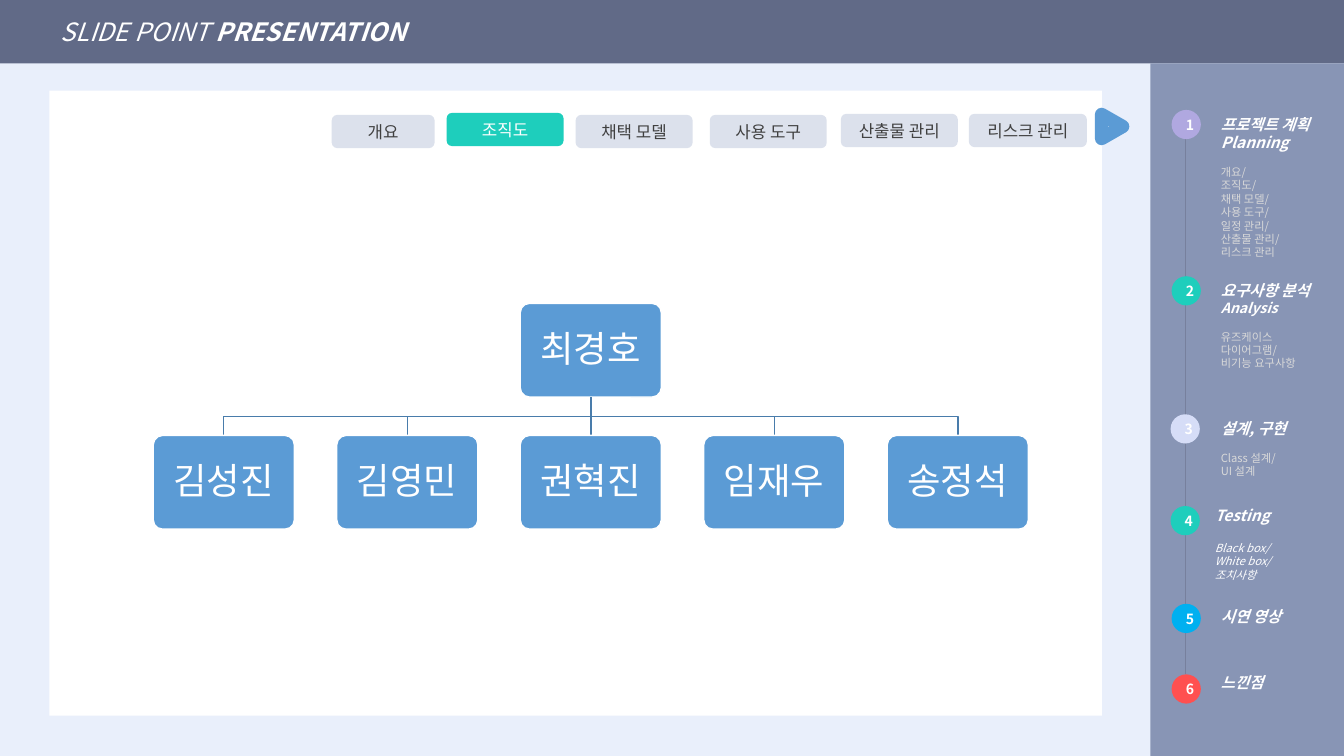
"""Build a project organisation slide with a tab row and a step sidebar."""
from dataclasses import dataclass

from lxml import etree
from pptx import Presentation
from pptx.dml.color import RGBColor
from pptx.enum.shapes import MSO_CONNECTOR, MSO_SHAPE
from pptx.enum.text import MSO_ANCHOR, MSO_AUTO_SIZE, PP_ALIGN
from pptx.oxml.ns import qn
from pptx.util import Inches, Pt

RECT = MSO_SHAPE.RECTANGLE
ROUNDED = MSO_SHAPE.ROUNDED_RECTANGLE
OVAL = MSO_SHAPE.OVAL
TRIANGLE = MSO_SHAPE.ISOSCELES_TRIANGLE
STRAIGHT = MSO_CONNECTOR.STRAIGHT
MIDDLE = MSO_ANCHOR.MIDDLE
NO_AUTOFIT = MSO_AUTO_SIZE.NONE
GROW = MSO_AUTO_SIZE.SHAPE_TO_FIT_TEXT
LEFT, CENTER = PP_ALIGN.LEFT, PP_ALIGN.CENTER


@dataclass(frozen=True)
class Theme:
    font: str = "Noto Sans CJK KR"
    page: str = "E9EFFB"
    header: str = "616A87"
    sidebar: str = "8895B5"
    rail: str = "77809D"
    white: str = "FFFFFF"
    tab: str = "DCE1EC"
    tab_text: str = "404040"
    teal: str = "1ECEBC"
    lilac: str = "B0A8E0"
    pale: str = "D6DDF7"
    sky: str = "00B0F0"
    red: str = "FF5050"
    member: str = "5B9BD5"
    branch: str = "497CAB"
    detail: str = "D9D9D9"
    title_size: float = 18
    tab_size: float = 12
    member_size: float = 26
    step_size: float = 11
    small_step_size: float = 10
    detail_size: float = 8


THEME = Theme()

TABS = [
    ("개요", 3.29, 1.14, 1.02),
    ("조직도", 4.43, 1.12, 1.16),
    ("채택 모델", 5.71, 1.14, 1.16),
    ("사용 도구", 7.04, 1.14, 1.16),
    ("산출물 관리", 8.34, 1.13, 1.16),
    ("리스크 관리", 9.61, 1.13, 1.17),
]
CURRENT_TAB = "조직도"

LEADER = "최경호"
MEMBERS = ["김성진", "김영민", "권혁진", "임재우", "송정석"]
MEMBER_LEFT, MEMBER_PITCH = 1.52, 1.82
MEMBER_WIDTH, MEMBER_HEIGHT = 1.4, 0.93
LEADER_TOP, MEMBER_TOP = 3.01, 4.32

HEADING = {"size": THEME.step_size, "color": THEME.white, "bold": True, "italic": True}
SUBHEADING = {**HEADING, "size": THEME.small_step_size}
DETAIL = {"size": THEME.detail_size, "color": THEME.detail, "bold": False, "italic": False}
SLANTED = {**DETAIL, "color": THEME.white, "italic": True}
NUMBER = {"size": THEME.small_step_size, "color": THEME.white, "bold": True}

STEPS = [
    ((11.62, 1.09), THEME.lilac, (12.01, 1.09, 1.33, 1.68),
     [[("프로젝트 계획", HEADING)], [("Planning", HEADING)]],
     ["개요/", "조직도/", "채택 모델/", "사용 도구/", "일정 관리/", "산출물 관리/", "리스크 관리"],
     DETAIL, 9.6),
    ((11.62, 2.74), THEME.teal, (12.01, 2.74, 1.22, 0.99),
     [[("요구사항 분석\v", HEADING), ("Analysis", SUBHEADING)]],
     ["유즈케이스", "다이어그램/", "비기능 요구사항"], DETAIL, 9.6),
    ((11.61, 4.11), THEME.pale, (12.01, 4.11, 1.33, 0.69),
     [[("설계, 구현", HEADING)]], ["Class 설계/", "UI 설계"], DETAIL, 9.6),
    ((11.61, 5.02), THEME.teal, (11.95, 4.97, 1.22, 0.86),
     [[("Testing", HEADING)]], ["Black box/", "White box/", "조치사항"], SLANTED, 12),
    ((11.62, 5.99), THEME.sky, (12.01, 5.97, 1.22, 0.29),
     [[("시연 영상", HEADING)]], [], DETAIL, 0),
    ((11.62, 6.69), THEME.red, (12.01, 6.63, 1.22, 0.29),
     [[("느낀점", HEADING)]], [], DETAIL, 0),
]


def rgb(color):
    return RGBColor.from_string(color)


def style_run(run, size, color, **emphasis):
    font = run.font
    font.color.rgb = rgb(color)
    for name, value in {"name": THEME.font, "size": Pt(size), **emphasis}.items():
        setattr(font, name, value)
    latin = font._element.find(qn("a:latin"))
    east_asian = etree.Element(qn("a:ea"), typeface=THEME.font)
    latin.addnext(east_asian)


def write_runs(paragraph, pieces, align=LEFT):
    paragraph.alignment = align
    for text, style in pieces:
        run = paragraph.add_run()
        run.text = text.rstrip("\v")
        style_run(run, **style)
        if text.endswith("\v"):
            paragraph.add_line_break()


def add_block(slide, kind, box, fill, label=None, style=None):
    block = slide.shapes.add_shape(kind, *map(Inches, box))
    block.shadow.inherit = False
    block.fill.solid()
    block.fill.fore_color.rgb = rgb(fill)
    block.line.fill.background()
    if label:
        block.text_frame.vertical_anchor = MIDDLE
        write_runs(block.text_frame.paragraphs[0], [(label, style)], CENTER)
    return block


def set_outline(line, color, width):
    line.color.rgb = rgb(color)
    line.width = Pt(width)


def add_line(slide, start, end, color):
    line = slide.shapes.add_connector(STRAIGHT, *map(Inches, (*start, *end)))
    set_outline(line.line, color, 1)
    etree.SubElement(line._element.spPr, qn("a:effectLst"))


def add_branch(slide, start, end):
    if start[0] == end[0]:
        add_line(slide, start, end, THEME.branch)
        return
    bend = (start[1] + end[1]) / 2
    corners = [(start[0], bend), (end[0], bend), end]
    builder = slide.shapes.build_freeform(*map(Inches, start))
    builder.add_line_segments([tuple(map(Inches, corner)) for corner in corners], close=False)
    branch = builder.convert_to_shape()
    branch.shadow.inherit = False
    branch.fill.background()
    set_outline(branch.line, THEME.branch, 1)


def add_member(slide, name, left, top):
    style = {"size": THEME.member_size, "color": THEME.white}
    member = add_block(slide, ROUNDED, (left, top, MEMBER_WIDTH, MEMBER_HEIGHT),
                       THEME.member, name, style)
    member.adjustments[0] = 0.1
    set_outline(member.line, THEME.white, 1)
    member.text_frame.word_wrap = False
    member.text_frame.paragraphs[0].line_spacing = 0.9


def add_organisation(slide):
    lefts = [MEMBER_LEFT + MEMBER_PITCH * place for place in range(len(MEMBERS))]
    leader_left = lefts[len(lefts) // 2]
    trunk = (leader_left + MEMBER_WIDTH / 2, LEADER_TOP + MEMBER_HEIGHT)
    add_member(slide, LEADER, leader_left, LEADER_TOP)
    for name, left in zip(MEMBERS, lefts):
        add_branch(slide, trunk, (left + MEMBER_WIDTH / 2, MEMBER_TOP))
        add_member(slide, name, left, MEMBER_TOP)


def add_step(slide, number, spot, color, box, headings, details, detail_style, gap):
    add_block(slide, OVAL, (*spot, 0.29, 0.29), color, str(number), NUMBER)
    frame = slide.shapes.add_textbox(*map(Inches, box)).text_frame
    frame.word_wrap = True
    frame.auto_size = GROW
    lines = headings + [[(detail, detail_style)] for detail in details]
    for index, pieces in enumerate(lines):
        paragraph = frame.add_paragraph() if index else frame.paragraphs[0]
        write_runs(paragraph, pieces)
        if index == len(headings):
            paragraph.space_before = Pt(gap)


def add_header(slide):
    header = slide.shapes.title
    box = {"left": 0, "top": 0, "width": 13.33, "height": 0.63}
    for side, length in box.items():
        setattr(header, side, Inches(length))
    header.fill.solid()
    header.fill.fore_color.rgb = rgb(THEME.header)
    frame = header.text_frame
    layout = {"auto_size": NO_AUTOFIT, "vertical_anchor": MIDDLE, "margin_left": Inches(0.6)}
    for name, value in layout.items():
        setattr(frame, name, value)
    style = {"size": THEME.title_size, "color": THEME.white, "italic": True}
    write_runs(frame.paragraphs[0], [("SLIDE POINT ", {**style, "bold": False}),
                                     ("PRESENTATION", {**style, "bold": True})])


def main():
    deck = Presentation()
    deck.slide_width, deck.slide_height = Inches(13.33), Inches(7.5)
    slide = deck.slides.add_slide(deck.slide_layouts[5])
    slide.background.fill.solid()
    slide.background.fill.fore_color.rgb = rgb(THEME.page)
    add_header(slide)
    add_block(slide, RECT, (11.41, 0.63, 1.92, 6.87), THEME.sidebar)
    add_line(slide, (11.76, 1.38), (11.76, 6.69), THEME.rail)
    for number, step in enumerate(STEPS, 1):
        add_step(slide, number, *step)
    add_block(slide, RECT, (0.49, 0.9, 10.44, 6.2), THEME.white)
    arrow = add_block(slide, TRIANGLE, (10.91, 1.15, 0.24, 0.21), THEME.white)
    arrow.rotation = 90
    set_outline(arrow.line, THEME.member, 9.5)
    for label, left, top, width in TABS:
        current = label == CURRENT_TAB
        style = {"size": THEME.tab_size, "color": THEME.white if current else THEME.tab_text}
        add_block(slide, ROUNDED, (left, top, width, 0.33),
                  THEME.teal if current else THEME.tab, label, style)
    add_organisation(slide)
    deck.save("out.pptx")


if __name__ == "__main__":
    main()
